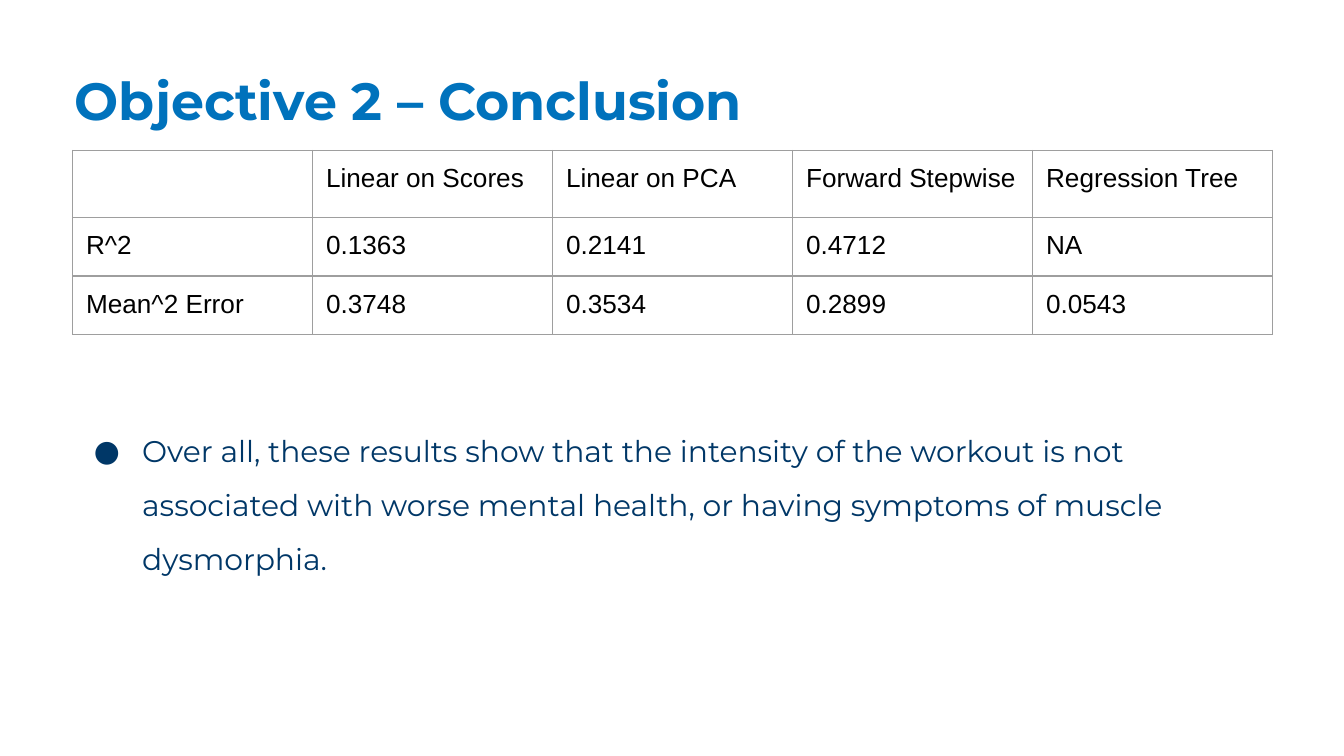
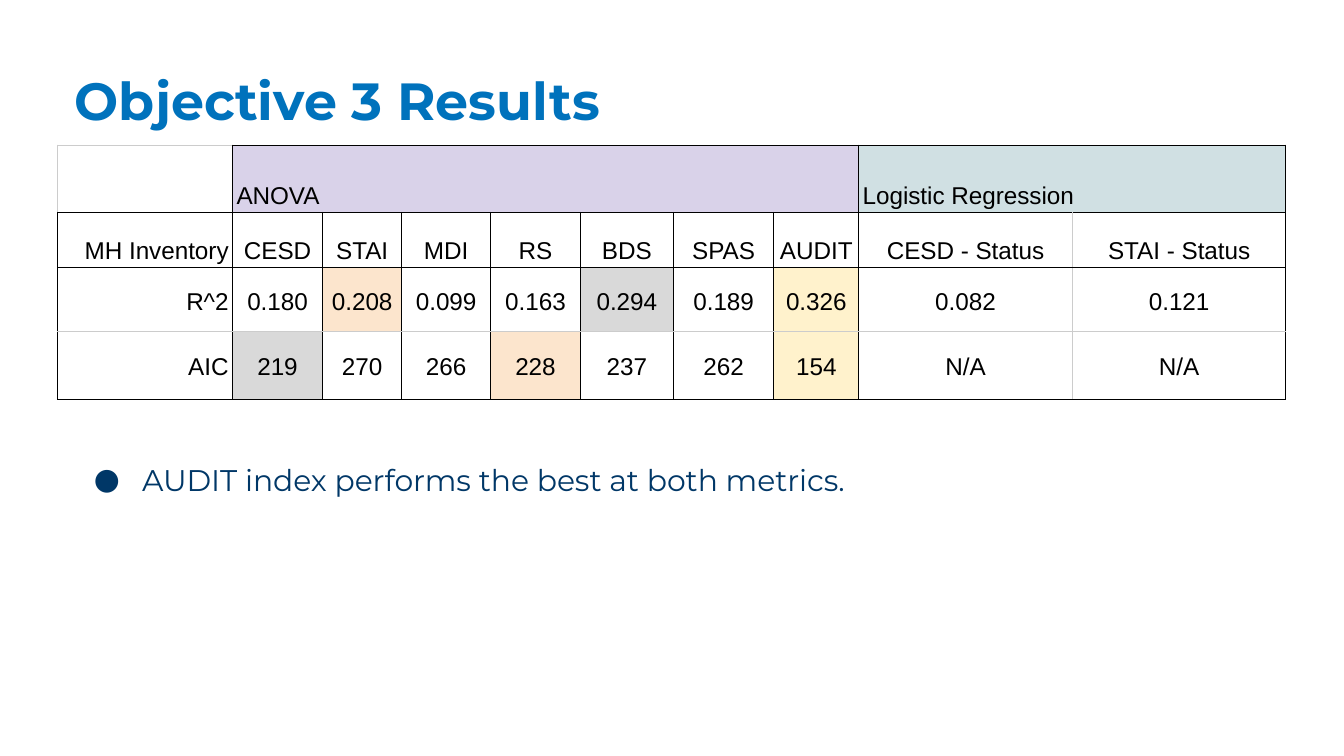
import pptx
import pptx.dml.color
import pptx.enum.text
import pptx.oxml
import pptx.oxml.ns
import pptx.util

RGBColor = pptx.dml.color.RGBColor
Inches = pptx.util.Inches
Align = pptx.enum.text.PP_ALIGN
Anchor = pptx.enum.text.MSO_ANCHOR

TITLE_BLUE = RGBColor(0x00, 0x72, 0xBC)
BODY_NAVY = RGBColor(0x00, 0x37, 0x67)
BLACK = RGBColor(0x00, 0x00, 0x00)
GRID_GREY = RGBColor(0x9E, 0x9E, 0x9E)
PALE_GREY = RGBColor(0xCC, 0xCC, 0xCC)
LILAC = RGBColor(0xD9, 0xD2, 0xE9)
TEAL = RGBColor(0xD0, 0xE0, 0xE3)
GOLD = RGBColor(0xFF, 0xF2, 0xCC)
SILVER = RGBColor(0xD9, 0xD9, 0xD9)
BRONZE = RGBColor(0xFC, 0xE5, 0xCD)

TEXT_LEFT, TEXT_WIDTH = 0.46, 9.14
TITLE_TOP, TITLE_HEIGHT = 0.41, 0.67
BODY_HEIGHT = 2
NAMESPACE = pptx.oxml.ns.nsdecls("a")


def write_text(holder, text, font="Arial", size=14, color=BLACK, bold=False,
               align=Align.LEFT, line_spacing=1, bullet=False, margins=(0.1, 0.1)):
    """Fill a table cell or a text frame; both carry their own margins."""
    holder.margin_left = holder.margin_right = Inches(margins[0])
    holder.margin_top = holder.margin_bottom = Inches(margins[1])
    text_frame = getattr(holder, "text_frame", holder)
    text_frame.word_wrap = True
    paragraph = text_frame.paragraphs[0]
    paragraph.alignment = align
    paragraph.line_spacing = line_spacing
    if bullet:
        properties = paragraph._p.get_or_add_pPr()
        properties.set("marL", str(Inches(0.5)))
        properties.set("indent", str(Inches(-0.36)))
        for element in [f'<a:buClr {NAMESPACE}><a:srgbClr val="{color}"/></a:buClr>',
                        f'<a:buSzPts {NAMESPACE} val="{size * 100}"/>',
                        f'<a:buFont {NAMESPACE} typeface="{font}"/>',
                        f'<a:buChar {NAMESPACE} char="●"/>']:
            properties.append(pptx.oxml.parse_xml(element))
    if text:
        run = paragraph.add_run()
        run.text = text
        run.font.name = font
        run.font.size = pptx.util.Pt(size)
        run.font.bold = bold
        run.font.color.rgb = color


def add_grid(slide, left, top, widths, heights, rows, border_width, border_color,
             fills, cell_format):
    """Add a table; border_color(row, column, side) and cell_format(row, column) style it."""
    frame = slide.shapes.add_table(len(heights), len(widths), Inches(left), Inches(top),
                                   Inches(sum(widths)), Inches(sum(heights)))
    table = frame.table
    table.first_row = table.horz_banding = False
    for column, width in zip(table.columns, widths):
        column.width = Inches(width)
    for row, height in zip(table.rows, heights):
        row.height = Inches(height)
    for row, texts in enumerate(rows):
        for column, text in enumerate(texts):
            cell = table.cell(row, column)
            anchor, text_format = cell_format(row, column)
            cell.vertical_anchor = anchor
            properties = cell._tc.get_or_add_tcPr()
            for side in "LRTB":
                properties.append(pptx.oxml.parse_xml(
                    f'<a:ln{side} {NAMESPACE} w="{pptx.util.Pt(border_width)}"><a:solidFill>'
                    f'<a:srgbClr val="{border_color(row, column, side)}"/>'
                    f'</a:solidFill></a:ln{side}>'))
            if (row, column) in fills:
                cell.fill.solid()
                cell.fill.fore_color.rgb = fills[row, column]
            else:
                cell.fill.background()
            write_text(cell, text, **text_format)
    return table


presentation = pptx.Presentation()
presentation.slide_width = Inches(10)
presentation.slide_height = presentation.slide_width * 9 // 16

# Title and conclusion of each slide
slides = []
for title, conclusion, conclusion_top in [
    ("Objective 2 – Conclusion",
     "Over all, these results show that the intensity of the workout is not associated "
     "with worse mental health, or having symptoms of muscle dysmorphia.", 2.99),
    ("Objective 3 Results", "AUDIT index performs the best at both metrics.", 3.2),
]:
    slide = presentation.slides.add_slide(presentation.slide_layouts[6])
    slides.append(slide)
    title_box = slide.shapes.add_textbox(Inches(TEXT_LEFT), Inches(TITLE_TOP),
                                         Inches(TEXT_WIDTH), Inches(TITLE_HEIGHT))
    write_text(title_box.text_frame, title, font="Montserrat", size=28,
               color=TITLE_BLUE, bold=True)
    body_box = slide.shapes.add_textbox(Inches(TEXT_LEFT), Inches(conclusion_top),
                                        Inches(TEXT_WIDTH), Inches(BODY_HEIGHT))
    write_text(body_box.text_frame, conclusion, font="Montserrat", size=16,
               color=BODY_NAVY, line_spacing=1.5, bullet=True)

# Objective 2: fit of four models
model_rows = [
    ["", "Linear on Scores", "Linear on PCA", "Forward Stepwise", "Regression Tree"],
    ["R^2", "0.1363", "0.2141", "0.4712", "NA"],
    ["Mean^2 Error", "0.3748", "0.3534", "0.2899", "0.0543"],
]
add_grid(slides[0], 0.54, 1.12, [8.93 / 5] * 5, [0.5, 0.43, 0.43], model_rows, 0.75,
         lambda row, column, side: GRID_GREY, {},
         lambda row, column: (Anchor.TOP, {}))

# Objective 3: fit by mental health inventory
inventory_rows = [
    ["", "ANOVA", "", "", "", "", "", "", "Logistic Regression", ""],
    ["MH Inventory", "CESD", "STAI", "MDI", "RS", "BDS", "SPAS", "AUDIT",
     "CESD - Status", "STAI - Status"],
    ["R^2", "0.180", "0.208", "0.099", "0.163", "0.294", "0.189", "0.326", "0.082", "0.121"],
    ["AIC", "219", "270", "266", "228", "237", "262", "154", "N/A", "N/A"],
]
inventory_fills = {
    (0, 1): LILAC, (0, 8): TEAL,
    (2, 7): GOLD, (2, 5): SILVER, (2, 2): BRONZE,
    (3, 7): GOLD, (3, 1): SILVER, (3, 4): BRONZE,
}


def inventory_border(row, column, side):
    """Pale round the empty corner, between the metrics and between the two statuses."""
    corner = (row, column) == (0, 0) and side in "LT"
    metrics = (row, side) in [(2, "B"), (3, "T")]
    statuses = row > 0 and (column, side) in [(8, "R"), (9, "L")]
    return PALE_GREY if corner or metrics or statuses else BLACK


inventory_table = add_grid(
    slides[1], 0.43, 1.08,
    [1.3, 0.67, 0.59, 0.66, 0.67, 0.69, 0.75, 0.63, 1.59, 1.59], [0.5, 0.41, 0.48, 0.5],
    inventory_rows, 0.6, inventory_border, inventory_fills,
    lambda row, column: (
        Anchor.BOTTOM if row < 2 else Anchor.MIDDLE,
        {"size": 13, "line_spacing": 1.15, "margins": (0.03, 0.02),
         "align": Align.LEFT if row == 0 else Align.RIGHT if column == 0 else Align.CENTER}))
for first, last in [(1, 7), (8, 9)]:
    inventory_table.cell(0, first).merge(inventory_table.cell(0, last))

presentation.save("out.pptx")
